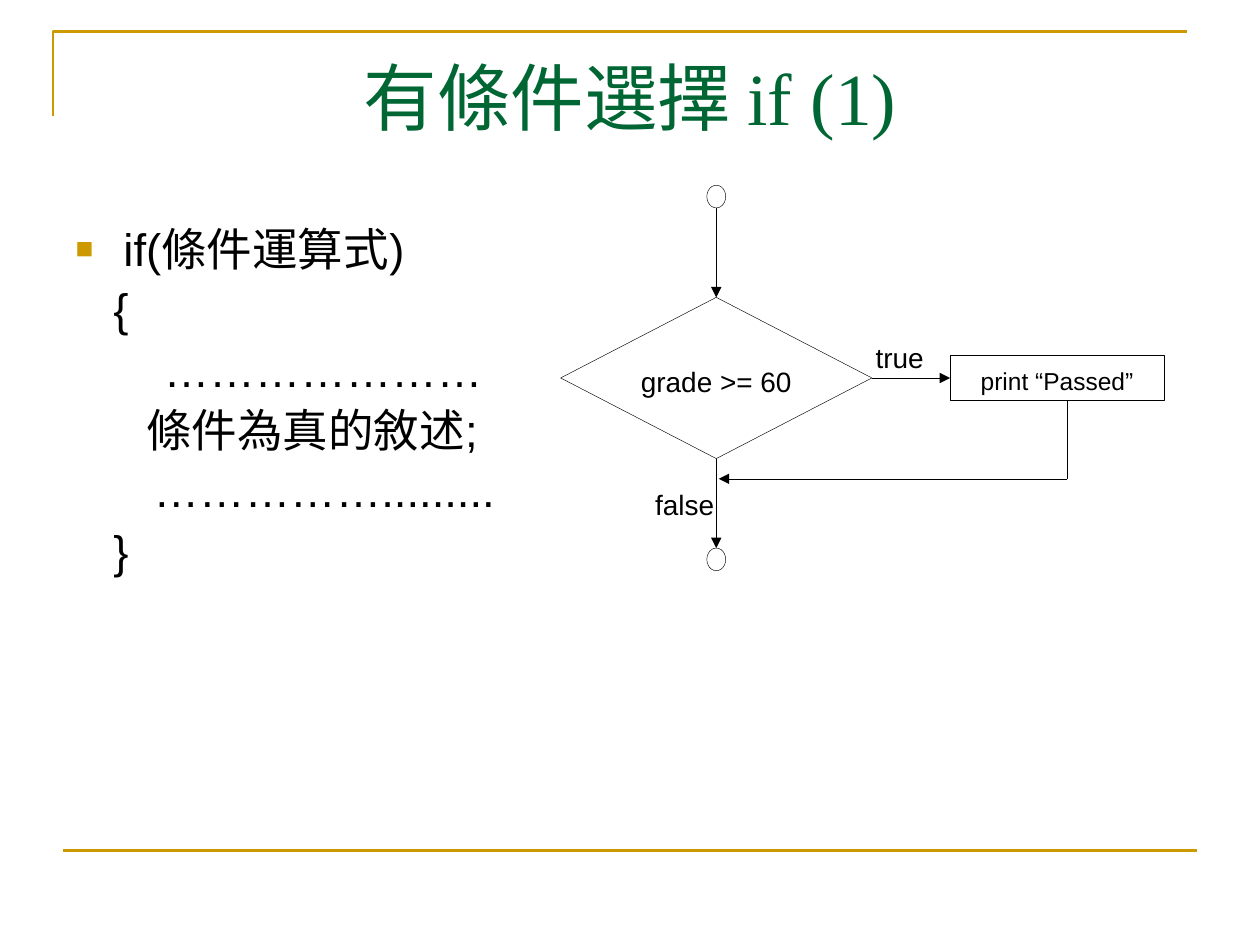
import pptx
import pptx.util
import pptx.dml.color
import pptx.enum.shapes
import pptx.enum.text
import pptx.oxml
import pptx.oxml.ns

HUES = {"gold": "CC9900", "green": "006633", "ink": "000000", "paper": "FFFFFF"}
KIND = pptx.enum.shapes.MSO_SHAPE
ALIGN = pptx.enum.text.PP_ALIGN
SIDE = pptx.enum.text.MSO_ANCHOR


def cell(count):
    """Turn a count of grid cells, 100 across and 75 down, into a length."""
    return pptx.util.Inches(count / 10)


def hue(name):
    """Return the named colour."""
    return pptx.dml.color.RGBColor.from_string(HUES[name])


def node(tag, **attrs):
    """Make one drawing element."""
    item = pptx.oxml.parse_xml(f"<a:{tag} {pptx.oxml.ns.nsdecls('a')}/>")
    for key, value in attrs.items():
        item.set(key, str(value))
    return item


def write(para, text, size, font="Arial", color="ink", align=ALIGN.LEFT):
    """Put formatted text in a paragraph."""
    para.alignment = align
    run = para.add_run()
    run.text = text
    run.font.size = pptx.util.Pt(size)
    run.font.name = font
    run.font.color.rgb = hue(color)


def frame(shape, wrap=True, anchor=SIDE.TOP, inset=None):
    """Set up a text frame and return it."""
    text = shape.text_frame
    text.word_wrap = wrap
    text.auto_size = pptx.enum.text.MSO_AUTO_SIZE.NONE
    text.vertical_anchor = anchor
    if inset is not None:
        text.margin_left = text.margin_right = text.margin_bottom = 0
        text.margin_top = cell(inset)
    return text


def place(shape, box):
    """Move a placeholder to a box of grid cells."""
    shape.left, shape.top, shape.width, shape.height = map(cell, box)


def stroke(shape, color="ink", width=0.25):
    """Set the outline."""
    shape.line.color.rgb = hue(color)
    shape.line.width = pptx.util.Pt(width)


def link(slide, start, end, arrow=False, color="ink", width=0.25):
    """Draw a straight line between two grid points."""
    wire = slide.shapes.add_connector(
        pptx.enum.shapes.MSO_CONNECTOR.STRAIGHT, *map(cell, start + end))
    stroke(wire, color, width)
    if arrow:
        wire.line._get_or_add_ln().append(node("tailEnd", type="triangle"))
    wire._element.spPr.append(node("effectLst"))
    return wire


def block(slide, kind, box, text="", size=16, fill=None):
    """Draw one flowchart shape, with its text if any."""
    shape = slide.shapes.add_shape(kind, *map(cell, box))
    shape.shadow.inherit = False
    stroke(shape)
    if fill:
        shape.fill.solid()
        shape.fill.fore_color.rgb = hue(fill)
    else:
        shape.fill.background()
    if text:
        body = frame(shape, False, SIDE.MIDDLE, 0.5)
        write(body.paragraphs[0], text, size, align=ALIGN.CENTER)
    return shape


def label(slide, box, text):
    """Add a branch label."""
    shape = slide.shapes.add_textbox(*map(cell, box))
    write(frame(shape, False, inset=0).paragraphs[0], text, 16)


def border(slide, box):
    """Draw the corner rule at the top and the rule at the foot."""
    left, top, wide, high = box
    pen = slide.shapes.build_freeform(cell(left), cell(top + 6.7))
    pen.add_line_segments(
        [(cell(left), cell(top)), (cell(left + wide), cell(top))], close=False)
    rule = pen.convert_to_shape()
    rule.shadow.inherit = False
    rule.fill.background()
    stroke(rule, "gold", 1.5)
    foot = top + high
    link(slide, (left + 0.8, foot), (left + 0.8 + wide, foot), color="gold", width=1.5)


def title(slide, box):
    """Fill the title."""
    shape = slide.shapes.title
    place(shape, box)
    write(frame(shape).paragraphs[0], "有條件選擇 if (1)", 42,
          "Times New Roman", "green", ALIGN.CENTER)


def syntax(slide, box):
    """List the form of the if statement."""
    shape = slide.placeholders[1]
    place(shape, box)
    text = frame(shape)
    rows = [("if(條件運算式)", 3.8), ("{", 3), ("…………………", 7),
            ("條件為真的敘述;", 5.6), ("…………….........", 6.2), ("}", 3)]
    for index, (line, left) in enumerate(rows):
        para = text.add_paragraph() if index else text.paragraphs[0]
        props = para._p.get_or_add_pPr()
        props.set("marL", str(cell(left)))
        props.set("indent", str(0 if index else -cell(left)))
        if index:
            props.append(node("buNone"))
        else:
            shade = node("buClr")
            shade.append(node("srgbClr", val=HUES["gold"]))
            props.extend([shade, node("buSzPct", val=65000),
                          node("buFont", typeface="Arial"), node("buChar", char="■")])
        para.line_spacing = 0.9
        para.space_before = pptx.util.Pt(6.5 if index else 0)
        write(para, line, 26)


def flow(slide, box):
    """Draw the flowchart of a one-way choice."""
    left, top, wide, high = box
    axis, mid, foot = left + 12.35, top + 15.3, top + high
    ring = (1.5, 1.8)
    block(slide, KIND.OVAL, (axis - 0.75, top, *ring))
    last = block(slide, KIND.OVAL, (axis - 0.75, foot - 1.8, *ring))
    test = block(slide, KIND.DIAMOND, (left, mid - 6.4, 24.7, 12.8),
                 "grade >= 60", fill="paper")
    act = block(slide, KIND.RECTANGLE, (left + wide - 17, mid - 1.8, 17, 3.6),
                "print “Passed”", 14)
    link(slide, (axis, top + 1.8), (axis, mid - 6.4), True).end_connect(test, 0)
    for side, goal, port in ((2, last, 0), (3, act, 1)):
        wire = link(slide, (axis, mid), (axis, foot), True)
        wire.begin_connect(test, side)
        wire.end_connect(goal, port)
    turn, join = left + 40.2, mid + 8
    link(slide, (turn, mid + 1.8), (turn, join))
    link(slide, (turn, join), (axis + 0.2, join), True)
    label(slide, (left + 25, mid - 3, 5.5, 3.6), "true")
    label(slide, (left + 7.5, mid + 8.7, 6.7, 3.6), "false")


def main():
    """Build the slide."""
    deck = pptx.Presentation()
    deck.slide_width, deck.slide_height = cell(100), cell(75)
    slide = deck.slides.add_slide(deck.slide_layouts[1])
    border(slide, (4.2, 2.5, 90, 65))
    title(slide, (5.6, 3.6, 88.8, 11.3))
    syntax(slide, (5, 17.5, 90, 49.5))
    flow(slide, (44.5, 14.7, 47.9, 30.6))
    deck.save("out.pptx")


if __name__ == "__main__":
    main()
